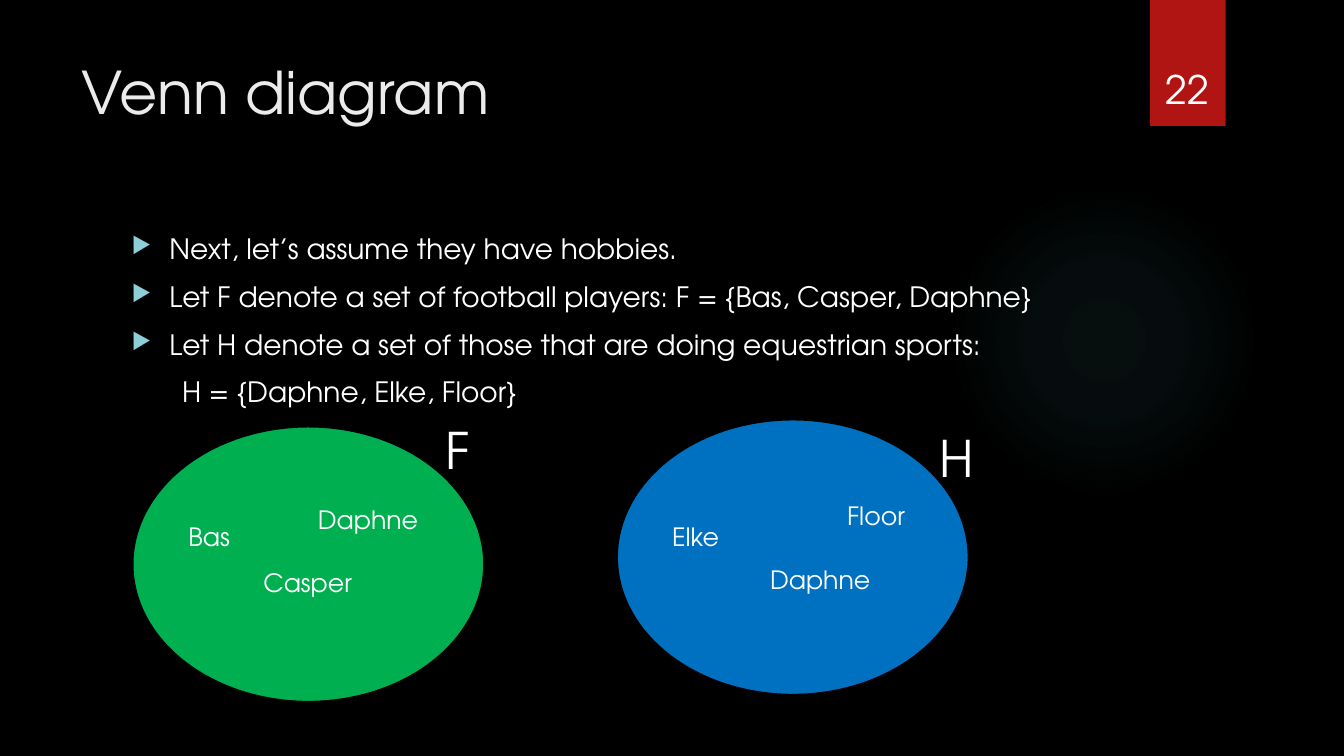
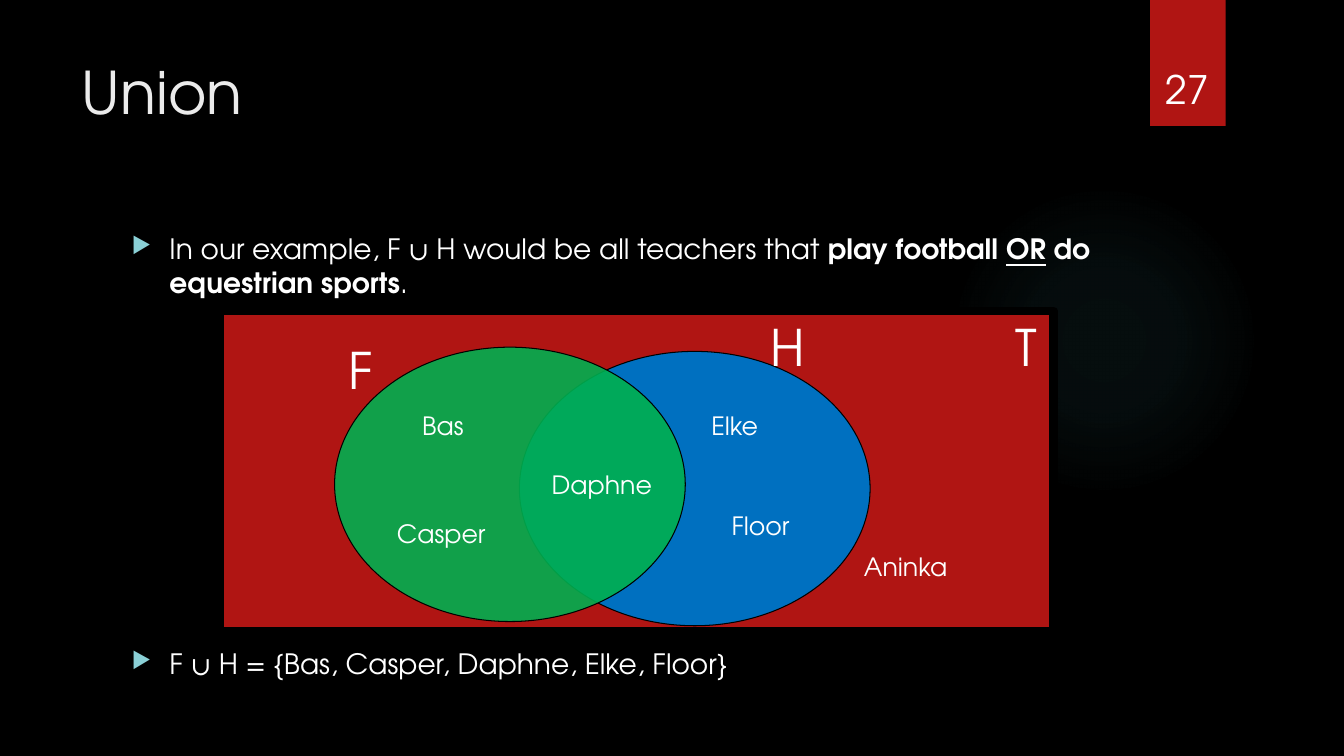
from dataclasses import dataclass

from lxml import etree
from pptx import Presentation
from pptx import util as u
from pptx.dml.color import RGBColor
from pptx.enum import shapes, text
from pptx.oxml import parse_xml
from pptx.oxml.ns import nsdecls, qn


@dataclass(frozen=True)
class Theme:
    font: str = "TeX Gyre Adventor"
    background: str = "000000"
    outline: str = "000000"
    white: str = "FFFFFF"
    title: str = "EBEBEB"
    red: str = "B01513"
    green: str = "00B050"
    blue: str = "0070C0"
    glow: str = "50B9C1"
    bullet: str = "8AD0D6"
    title_size: float = 42
    set_size: float = 36
    number_size: float = 28
    body_size: float = 20
    name_size: float = 18


theme = Theme()
OVAL, RECTANGLE = shapes.MSO_SHAPE.OVAL, shapes.MSO_SHAPE.RECTANGLE
SET_WIDTH, SET_HEIGHT = 250.5, 196
BOLD = {"bold": True}
BULLETED = {"left": 27, "indent": -27, "bulleted": True}
INDENTED = {"left": 36, "indent": 0, "bulleted": False}
LABEL_WIDTHS = {"Bas": 45, "Casper": 78, "Daphne": 87, "Elke": 49, "Floor": 56,
                "Aninka": 76, "F": 32, "H": 40, "T": 30}


def add_figure(slide, kind, box, color, line_width=0, opacity=100):
    shape = slide.shapes.add_shape(kind, *map(u.Pt, box))
    shape.shadow.inherit = False
    shape.fill.solid()
    shape.fill.fore_color.rgb = RGBColor.from_string(color)
    if opacity < 100:
        fill_color = shape.fill._xPr.find(qn("a:solidFill"))[0]
        etree.SubElement(fill_color, qn("a:alpha"), val=str(opacity * 1000))
    if line_width:
        shape.line.width = u.Pt(line_width)
        shape.line.color.rgb = RGBColor.from_string(theme.outline)
    else:
        shape.line.fill.background()
    return shape


def add_text(slide, box, runs, size, color=theme.white, paragraph=None, **frame_format):
    frame = slide.shapes.add_textbox(*map(u.Pt, box)).text_frame
    for name, value in {"word_wrap": True, **frame_format}.items():
        setattr(frame, name, value)
    for name, value in (paragraph or {}).items():
        setattr(frame.paragraphs[0], name, value)
    for words, run_format in runs:
        run = frame.paragraphs[0].add_run()
        run.text = words
        run.font.color.rgb = RGBColor.from_string(color)
        for name, value in {"name": theme.font, "size": u.Pt(size), **run_format}.items():
            setattr(run.font, name, value)
    return frame


slides = [
    {
        "title": "Venn diagram",
        "number": "22",
        "body_width": 728.5,
        "body": [
            ([("Next, let’s assume they have hobbies.", {})], BULLETED, 10),
            ([("Let F denote a set of football players: F = {Bas, Casper, Daphne}", {})], BULLETED, 10),
            ([("Let H denote a set of those that are doing equestrian sports:", {})], BULLETED, 10),
            ([("H = {Daphne, Elke, Floor}", {})], INDENTED, 10),
        ],
        "figures": [
            (OVAL, (441, 300, SET_WIDTH, SET_HEIGHT), theme.blue, 0.75, 100),
            (OVAL, (95, 305, SET_WIDTH, SET_HEIGHT), theme.green, 0.75, 100),
        ],
        "labels": [
            ("Bas", 127.5, 369), ("Casper", 181, 401.5), ("Daphne", 220, 357),
            ("Elke", 473, 368.5), ("Floor", 598, 353.5), ("Daphne", 543, 399.5),
            ("F", 311, 296), ("H", 664, 301.5),
        ],
    },
    {
        "title": "Union",
        "number": "27",
        "body_width": 704,
        "body": [
            ([("In our example, F ∪ H would be all teachers that ", {}),
              ("play football ", BOLD),
              ("OR", {"bold": True, "underline": True}),
              (" ", {}),
              ("do equestrian sports", BOLD),
              (".", {})], BULLETED, 10),
            ([("F ∪ H = {Bas, Casper, Daphne, Elke, Floor}", {})], BULLETED, 248),
        ],
        "figures": [
            (RECTANGLE, (157, 222, 595.5, 229), theme.red, 6, 100),
            (OVAL, (371, 251, SET_WIDTH, SET_HEIGHT), theme.blue, 0.75, 100),
            (OVAL, (239, 248, SET_WIDTH, SET_HEIGHT), theme.green, 0.75, 90),
        ],
        "labels": [
            ("Bas", 294.5, 289.5), ("Casper", 276.5, 366.5), ("Daphne", 387, 332),
            ("Elke", 501, 289.5), ("Floor", 515.5, 361), ("Aninka", 610, 390),
            ("F", 242, 239), ("H", 543.5, 222), ("T", 718.5, 222),
        ],
    },
]

presentation = Presentation()
presentation.slide_width, presentation.slide_height = u.Pt(960), u.Pt(540)
background = presentation.slide_master.background.fill
background.solid()
background.fore_color.rgb = RGBColor.from_string(theme.background)

glow_stops = "".join(
    f'<a:gs pos="{position * 1000}"><a:srgbClr val="{theme.glow}">'
    f'<a:alpha val="{opacity * 1000}"/></a:srgbClr></a:gs>'
    for position, opacity in [(0, 7), (36, 6), (69, 0)]
)
glow_fill = (
    f'<a:gradFill {nsdecls("a")}><a:gsLst>{glow_stops}</a:gsLst><a:path path="circle">'
    '<a:fillToRect l="50000" t="50000" r="50000" b="50000"/></a:path></a:gradFill>'
)

for content in slides:
    slide = presentation.slides.add_slide(presentation.slide_layouts[6])

    glow = add_figure(slide, OVAL, (677.5, 132, 222, 222), theme.glow)
    properties = glow.fill._xPr
    properties.replace(properties.find(qn("a:solidFill")), parse_xml(glow_fill))
    add_figure(slide, RECTANGLE, (821.5, 0, 54, 90), theme.red)
    add_text(slide, (815, 23, 66, 60.5), [(content["number"], {})], theme.number_size,
             paragraph={"alignment": text.PP_ALIGN.CENTER},
             vertical_anchor=text.MSO_ANCHOR.BOTTOM)
    add_text(slide, (51, 36, 741, 110), [(content["title"], {})], theme.title_size, theme.title)

    body = add_text(slide, (87, 162, content["body_width"], 330.5), [], theme.body_size)
    for index, (runs, layout, space_before) in enumerate(content["body"]):
        paragraph = body.add_paragraph() if index else body.paragraphs[0]
        paragraph.space_before = u.Pt(space_before)
        for words, run_format in runs:
            run = paragraph.add_run()
            run.text = words
            run.font.color.rgb = RGBColor.from_string(theme.white)
            font_format = {"name": theme.font, "size": u.Pt(theme.body_size), **run_format}
            for name, value in font_format.items():
                setattr(run.font, name, value)
        properties = paragraph._p.get_or_add_pPr()
        properties.set("marL", str(u.Pt(layout["left"])))
        properties.set("indent", str(u.Pt(layout["indent"])))
        if layout["bulleted"]:
            bullet_color = etree.SubElement(properties, qn("a:buClr"))
            etree.SubElement(bullet_color, qn("a:srgbClr"), val=theme.bullet)
            etree.SubElement(properties, qn("a:buSzPct"), val="80000")
            etree.SubElement(properties, qn("a:buChar"), char="▶")

    for figure in content["figures"]:
        add_figure(slide, *figure)
    for label, left, top in content["labels"]:
        size, height = (theme.set_size, 51) if len(label) == 1 else (theme.name_size, 29)
        add_text(slide, (left, top, LABEL_WIDTHS[label], height), [(label, {})], size,
                 word_wrap=False, auto_size=text.MSO_AUTO_SIZE.SHAPE_TO_FIT_TEXT)

presentation.save("out.pptx")
